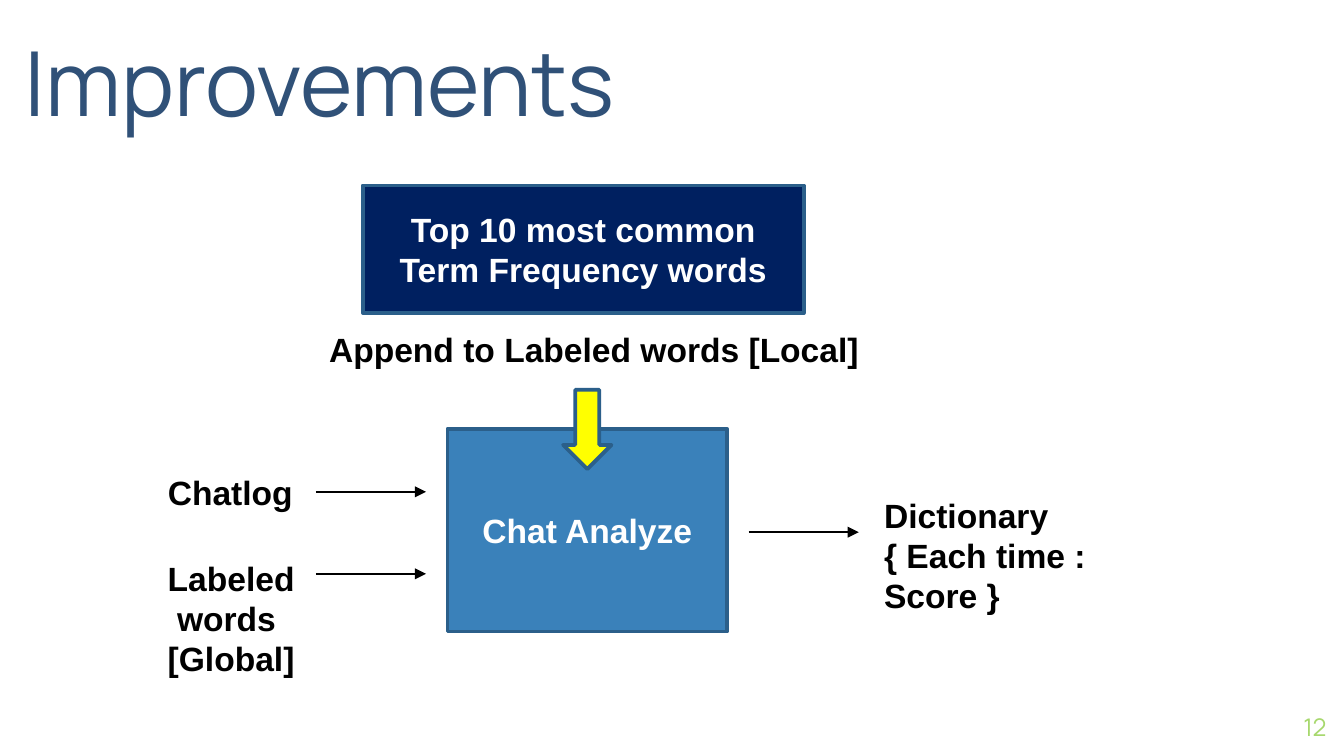
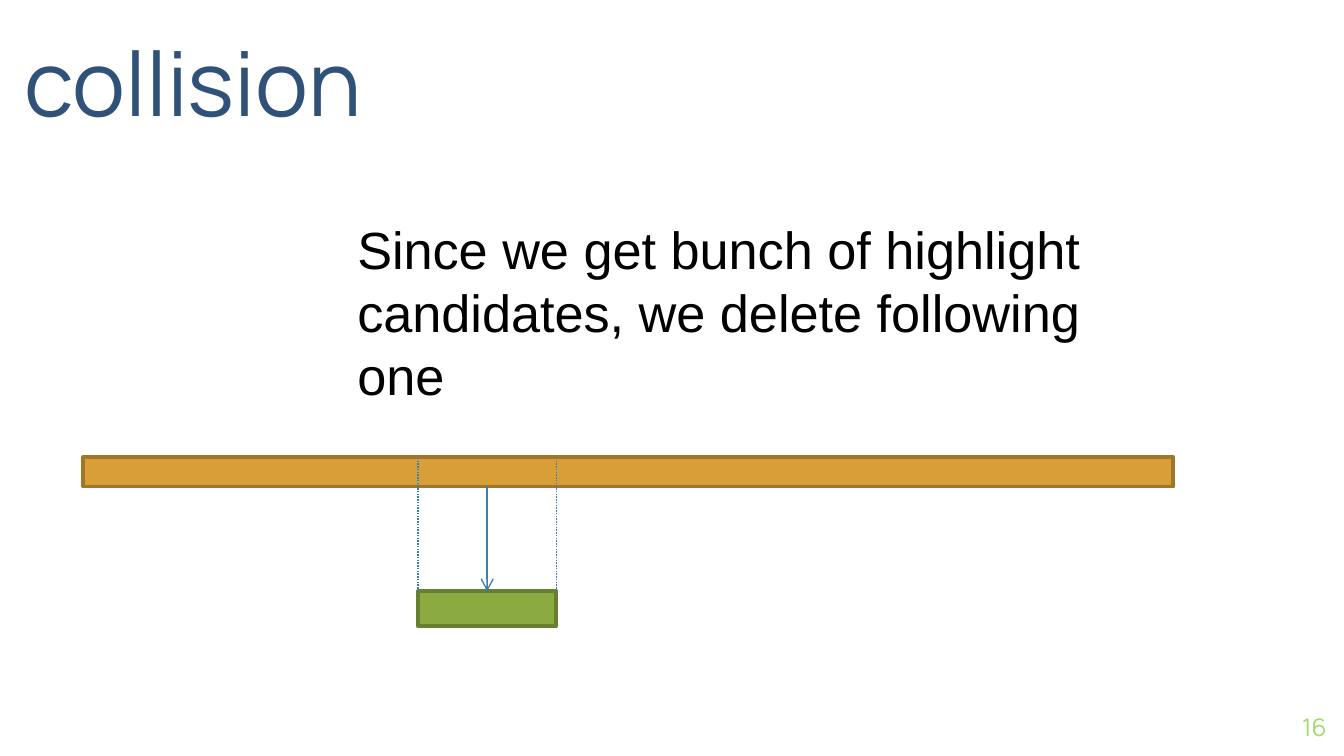
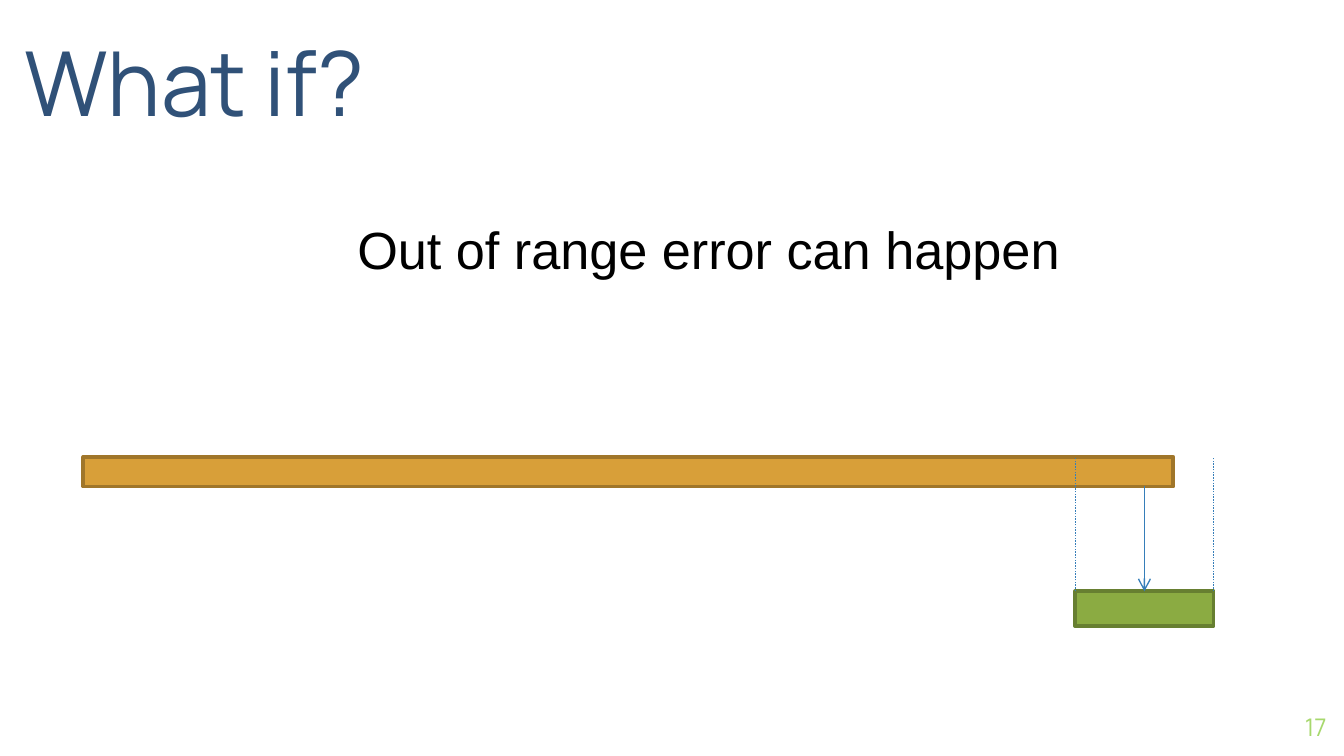
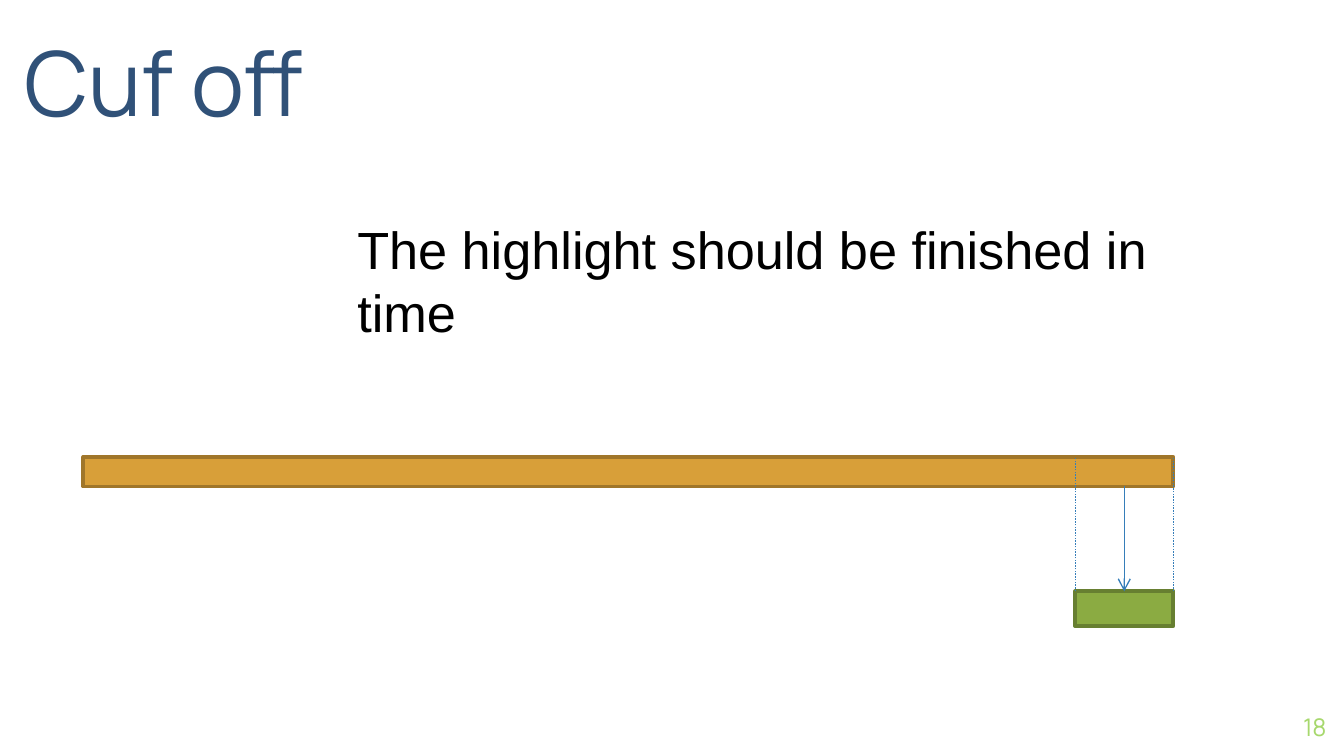
from lxml import etree
from pptx import Presentation
from pptx.dml.color import RGBColor
from pptx.enum.dml import MSO_LINE
from pptx.enum.shapes import MSO_CONNECTOR, MSO_SHAPE
from pptx.enum.text import MSO_ANCHOR, PP_ALIGN
from pptx.oxml.ns import qn
from pptx.util import Inches, Pt

RECTANGLE, DOWN_ARROW = MSO_SHAPE.RECTANGLE, MSO_SHAPE.DOWN_ARROW
STRAIGHT = MSO_CONNECTOR.STRAIGHT
DOTTED = MSO_LINE.ROUND_DOT
TOP, MIDDLE, BOTTOM = MSO_ANCHOR.TOP, MSO_ANCHOR.MIDDLE, MSO_ANCHOR.BOTTOM
LEFT, CENTER, RIGHT = PP_ALIGN.LEFT, PP_ALIGN.CENTER, PP_ALIGN.RIGHT

COLORS = {
    "title": "305178", "number": "A7D86D", "black": "000000", "white": "FFFFFF",
    "blue": "3A81BA", "blue_edge": "2B5F8A", "navy": "002060", "yellow": "FFFF00",
    "orange": "D89F39", "orange_edge": "A0762A",
    "green": "8BAB42", "green_edge": "677F31", "guide": "367EB9",
}
HEADING_FONT, BODY_FONT = "Manrope", "Arial"


def add_box(shapes, place, lines=(), size=18, color="black", font=BODY_FONT, bold=False,
            align=LEFT, anchor=TOP, inset=True, wrap=True,
            preset=None, fill=None, edge=None):
    """Add a text box, or a filled preset shape, with one paragraph per line."""
    place = [Inches(length) for length in place]
    if preset is None:
        box = shapes.add_textbox(*place)
    else:
        box = shapes.add_shape(preset, *place)
        box.shadow.inherit = False
        box.fill.solid()
        box.fill.fore_color.rgb = RGBColor.from_string(COLORS[fill])
        box.line.color.rgb = RGBColor.from_string(COLORS[edge])
        box.line.width = Pt(2)
    frame = box.text_frame
    frame.word_wrap = wrap
    frame.vertical_anchor = anchor
    if not inset:
        frame.margin_left = frame.margin_right = frame.margin_top = frame.margin_bottom = 0
    for index, line in enumerate(lines):
        para = frame.add_paragraph() if index else frame.paragraphs[0]
        para.text = line
        para.alignment = align
        para.font.size = Pt(size)
        para.font.name = font
        para.font.bold = bold
        para.font.color.rgb = RGBColor.from_string(COLORS[color])
    return box


def add_line(shapes, start, end, color, head=None, dash=None):
    """Add a thin straight connector, with an arrowhead or dashes if asked for."""
    line = shapes.add_connector(STRAIGHT, *[Inches(length) for length in (*start, *end)])
    line.line.color.rgb = RGBColor.from_string(COLORS[color])
    line.line.width = Pt(0.75)
    if dash:
        line.line.dash_style = dash
    if head:
        etree.SubElement(line.line._get_or_add_ln(), qn("a:tailEnd"), type=head)
    etree.SubElement(line._element.spPr, qn("a:effectLst"))
    return line


# Widescreen deck, 16 to 9
deck = Presentation()
deck.slide_width = Inches(10)
deck.slide_height = deck.slide_width * 9 // 16

# Title and page number on every slide
pages = []
for title, number, title_width in [("Improvements", "12", 6.89), ("collision", "16", 8.5),
                                   ("What if?", "17", 8.5), ("Cuf off", "18", 8.5)]:
    page = deck.slides.add_slide(deck.slide_layouts[6])
    add_box(page.shapes, (9.27, 5.19, 0.6, 0.43), [number], 13, "number", HEADING_FONT,
            align=RIGHT, anchor=MIDDLE, inset=False)
    add_box(page.shapes, (0.18, 0.06, title_width, 0.94), [title], 48, "title", HEADING_FONT,
            anchor=BOTTOM, inset=False)
    pages.append(page)

# Improvements: inputs, analyzer and output
shapes = pages[0].shapes
block = {"color": "white", "bold": True, "align": CENTER, "anchor": MIDDLE,
         "preset": RECTANGLE, "edge": "blue_edge"}
add_box(shapes, (3.33, 3.19, 2.08, 1.51), ["Chat Analyze"], fill="blue", **block)
add_box(shapes, (2.7, 1.38, 3.28, 0.95), ["Top 10 most common Term Frequency words"],
        fill="navy", **block)
add_box(shapes, (4.19, 2.9, 0.36, 0.59), preset=DOWN_ARROW, fill="yellow", edge="blue_edge")

for left, top in [(2.35, 3.66), (2.35, 4.27), (5.57, 3.96)]:
    add_line(shapes, (left, top), (left + 0.82, top), "black", head="triangle")

for place, lines, wrap in [
    ((1.15, 3.46, 1.15, 0.4), ["Chatlog"], False),
    ((1.15, 4.1, 1.16, 1.01), ["Labeled", " words", "[Global]"], False),
    ((6.48, 3.63, 2.4, 0.71), ["Dictionary", "{ Each time : Score }"], True),
    ((2.35, 2.4, 4.19, 0.4), ["Append to Labeled words [Local]"], False),
]:
    add_box(shapes, place, lines, bold=True, wrap=wrap)

# Timeline slides: a highlight cut from the full recording
bar_top, bar_height, clip_top = 3.4, 0.22, 4.4
for page, message, clip_left, clip_width in [
    (pages[1], "Since we get bunch of highlight candidates, we delete following one", 3.11, 1.03),
    (pages[2], "Out of range error can happen", 8, 1.03),
    (pages[3], "The highlight should be finished in time", 8, 0.73),
]:
    add_box(page.shapes, (2.56, 1.57, 6.11, 3.03), [message], 28)
    add_box(page.shapes, (0.62, bar_top, 8.11, bar_height),
            preset=RECTANGLE, fill="orange", edge="orange_edge")
    clip_group = page.shapes.add_group_shape().shapes
    clip = add_box(clip_group, (clip_left, clip_top, clip_width, 0.26),
                   preset=RECTANGLE, fill="green", edge="green_edge")
    middle = clip_left + clip_width / 2
    arrow = add_line(clip_group, (middle, bar_top + bar_height), (middle, clip_top),
                     "guide", head="arrow")
    arrow.end_connect(clip, 0)
    for side in (clip_left, clip_left + clip_width):
        add_line(clip_group, (side, clip_top), (side, bar_top), "guide", dash=DOTTED)

deck.save("out.pptx")
